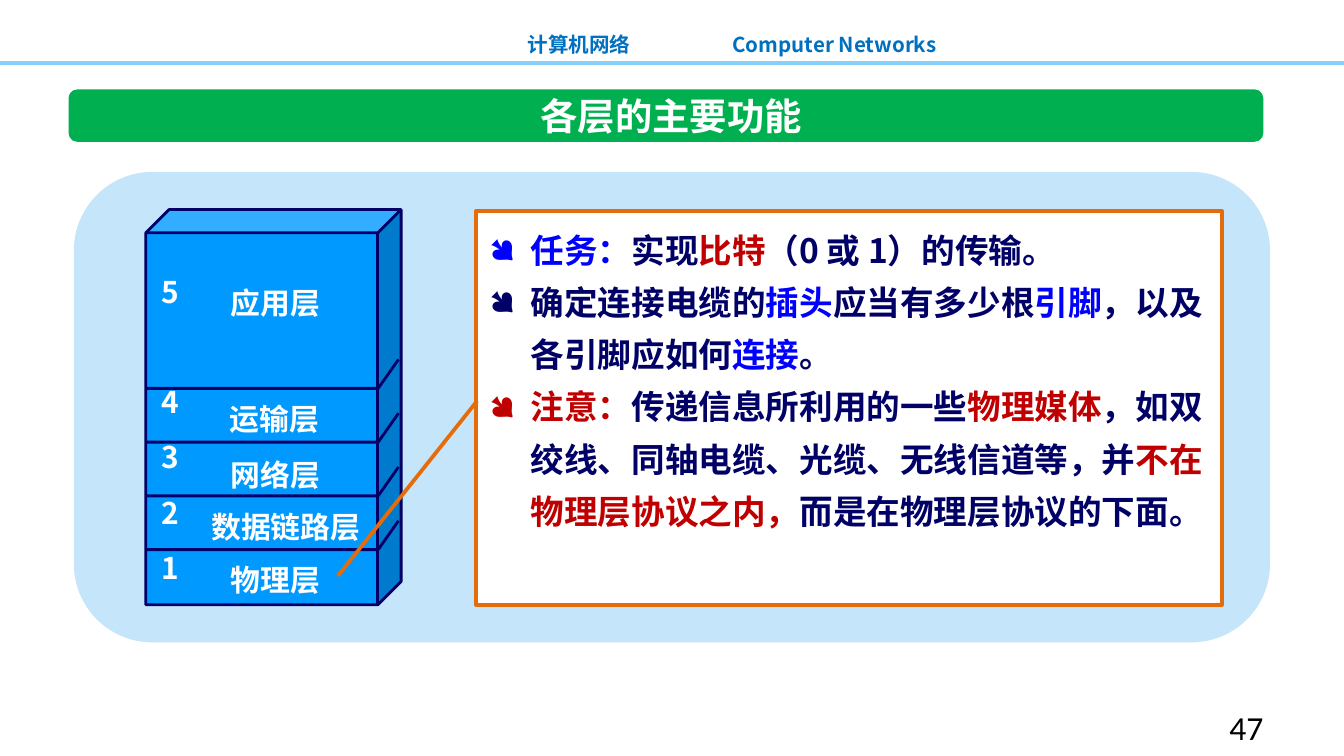
import lxml.etree
import pptx
import pptx.dml.color
import pptx.enum.shapes
import pptx.enum.text
import pptx.oxml.ns
import pptx.util

SHAPE = pptx.enum.shapes.MSO_SHAPE
ALIGN = pptx.enum.text.PP_ALIGN
ANCHOR = pptx.enum.text.MSO_ANCHOR
COLUMNS, ROWS = 100, 56.25
UNIT = pptx.util.Inches(0.1)
FONT = "Noto Sans CJK SC"
WHITE, NAVY, BLUE, RED = "FFFFFF", "000066", "0000FF", "C00000"


def grid(*lengths):
    return [round(length * UNIT) for length in lengths]


def color(value):
    return pptx.dml.color.RGBColor.from_string(value)


def add_element(parent, tag, **attributes):
    return lxml.etree.SubElement(parent, pptx.oxml.ns.qn(tag), attributes)


def set_line(shape, value, width):
    shape.line.color.rgb = color(value)
    shape.line.width = pptx.util.Pt(width)


def add_panel(shapes, kind, box, fill, line=None, width=1.5, adjustments=()):
    shape = shapes.add_shape(kind, *grid(*box))
    shape.shadow.inherit = False
    shape.fill.solid()
    shape.fill.fore_color.rgb = color(fill)
    if line:
        set_line(shape, line, width)
    else:
        shape.line.fill.background()
    for index, value in enumerate(adjustments):
        shape.adjustments[index] = value
    return shape


def add_run(paragraph, text, size, value, bold=True, font=FONT):
    run = paragraph.add_run()
    run.text = text
    run.font.size = pptx.util.Pt(size)
    run.font.bold = bold
    run.font.color.rgb = color(value)
    run.font.name = font
    add_element(run.font._element, "a:ea", typeface=font)


def add_text(shapes, text, box, size=16, value=WHITE, align=ALIGN.LEFT,
             anchor=ANCHOR.MIDDLE, wrap=False, **run_format):
    frame = shapes.add_textbox(*grid(*box)).text_frame
    frame.word_wrap = wrap
    frame.vertical_anchor = anchor
    for index, line in enumerate(text.split("\n")):
        paragraph = frame.add_paragraph() if index else frame.paragraphs[0]
        paragraph.alignment = align
        add_run(paragraph, line, size, value, **run_format)
    return frame


def add_header(shapes, box):
    left, top, width, height = box
    for text, start, span in (("计算机网络", 37, 10.9), ("Computer Networks", 53, 17.7)):
        add_text(shapes, text, (left + start, top + 1.85, span, 2.9), size=11,
                 value="0070C0", align=ALIGN.RIGHT)
    bottom = top + height
    rule = shapes.add_connector(pptx.enum.shapes.MSO_CONNECTOR.STRAIGHT,
                                *grid(left, bottom, left + width, bottom))
    set_line(rule, "85D1F7", 2)
    add_element(rule._element.spPr, "a:effectLst")


def add_title(shapes, text, box):
    add_panel(shapes, SHAPE.ROUNDED_RECTANGLE, box, "00B050", adjustments=[0.167])
    left, top, width, height = box
    add_text(shapes, text, (left + 8.6, top, 72.5, height), size=20,
             align=ALIGN.CENTER, wrap=True)


def add_layer_stack(shapes, box):
    left, top, width, height = box
    stack = shapes.add_group_shape().shapes
    add_panel(stack, SHAPE.CUBE, box, "0099FF", NAVY, adjustments=[0.091])
    front = left + width * 0.91
    for index in range(4):
        edge = top + 13.3 + 4 * index
        builder = stack.build_freeform(*grid(left + width - 0.2, edge - 2.15))
        builder.add_line_segments([grid(front, edge), grid(left, edge)], close=False)
        divider = builder.convert_to_shape()
        divider.shadow.inherit = False
        divider.fill.background()
        set_line(divider, NAVY, 1.5)

    layers = (("应用层", 5.35, 5.1), ("运输层", 5.25, 13.7), ("网络层", 5.35, 17.9),
              ("数据链路层", 3.9, 21.7), ("物理层", 5.35, 25.7))
    for name, across, down in layers:
        add_text(stack, name, (left + across, top + down, 2 + 2.25 * len(name), 3.7))

    numbers = add_text(stack, "5\n4\n3\n2\n1", (left + 0.2, top + 2.8, 3.4, 26),
                       anchor=ANCHOR.TOP)
    pitch = pptx.util.Pt(29.6)
    for paragraph in numbers.paragraphs:
        paragraph.line_spacing = pitch
    numbers.paragraphs[1].space_before = pitch


def add_callout(shapes, points, box):
    callout = add_panel(shapes, SHAPE.LINE_CALLOUT_1, box, WHITE, "E46C0A", 2,
                        [0.482, 0.002, 0.927, -0.185])
    frame = callout.text_frame
    frame.word_wrap = True
    frame.vertical_anchor = ANCHOR.TOP
    indent = pptx.util.Inches(0.31)
    for index, runs in enumerate(points):
        paragraph = frame.add_paragraph() if index else frame.paragraphs[0]
        paragraph.alignment = ALIGN.LEFT
        paragraph.line_spacing = pptx.util.Pt(28)
        properties = paragraph._p.get_or_add_pPr()
        properties.set("marL", str(indent))
        properties.set("indent", str(-indent))
        add_element(properties, "a:buFont", typeface="Wingdings")
        add_element(properties, "a:buChar", char="●")
        for text, value in runs:
            add_run(paragraph, text, 18, value)


def add_content(shapes, points, box):
    add_panel(shapes, SHAPE.ROUNDED_RECTANGLE, box, "C5E5FB")
    left, top, width, height = box
    add_layer_stack(shapes, (left + 5.35, top + 2.8, 19, 29.4))
    add_callout(shapes, points, (left + 29.9, top + 2.9, 55.5, 29.3))


def main():
    presentation = pptx.Presentation()
    presentation.slide_width, presentation.slide_height = grid(COLUMNS, ROWS)
    slide = presentation.slides.add_slide(presentation.slide_layouts[6])
    shapes = slide.shapes
    points = (
        (("任务：", BLUE), ("实现", NAVY), ("比特", RED), ("（0 或 1）的传输。", NAVY)),
        (("确定连接电缆的", NAVY), ("插头", BLUE), ("应当有多少根", NAVY),
         ("引脚", BLUE), ("，以及各引脚应如何", NAVY), ("连接", BLUE), ("。", NAVY)),
        (("注意：", RED), ("传递信息所利用的一些", NAVY), ("物理媒体", RED),
         ("，如双绞线、同轴电缆、光缆、无线信道等，并", NAVY),
         ("不在物理层协议之内，", RED), ("而是在物理层协议的下面。", NAVY)),
    )
    add_header(shapes, (0, 0, COLUMNS, 4.7))
    add_title(shapes, "各层的主要功能", (5.1, 6.65, 88.9, 3.9))
    add_content(shapes, points, (5.5, 12.8, 89, 35))
    add_text(shapes, "47", (71.7, 52.1, 23.3, 3), size=18, value="000000",
             align=ALIGN.RIGHT, anchor=ANCHOR.TOP, wrap=True, bold=False, font="Calibri")
    presentation.save("out.pptx")


if __name__ == "__main__":
    main()
